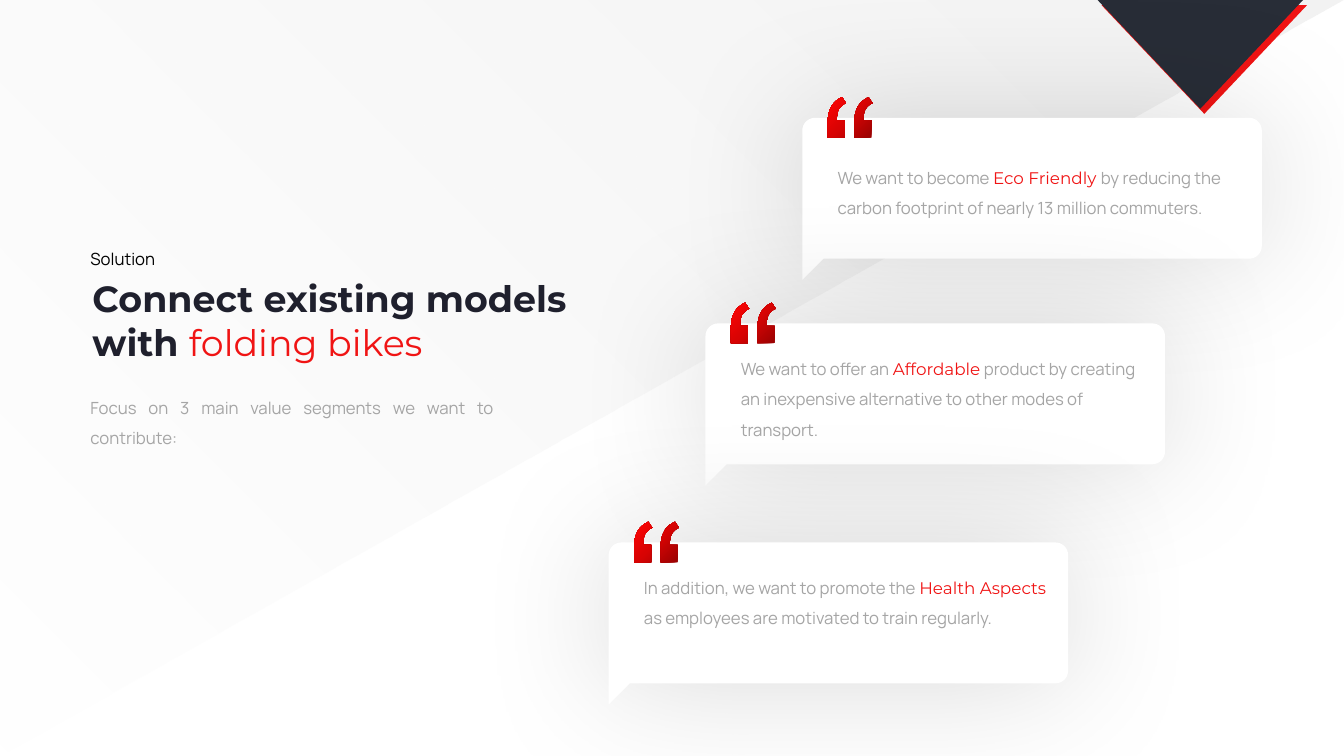
from typing import NamedTuple

from lxml.etree import SubElement
from pptx import Presentation
from pptx.dml.color import RGBColor
from pptx.enum.shapes import MSO_SHAPE
from pptx.enum.text import MSO_ANCHOR, MSO_AUTO_SIZE, PP_ALIGN
from pptx.oxml.ns import qn
from pptx.util import Cm, Pt

COLORS = {
    "white": "FFFFFF", "haze": "F2F2F2", "black": "000000", "ink": "1F202D",
    "slate": "282D37", "red": "F01414", "grey": "A5A5A5",
    "deep": "980202", "mid": "D80303", "bright": "FF0505",
}
SLIDE_WIDTH, SLIDE_HEIGHT = 33.87, 19.05
BUBBLE_WIDTH, BUBBLE_HEIGHT, RADIUS, TAIL = 11.58, 3.55, 0.32, 0.53
INSET, MARK_GAP = 0.64, 0.67

Point = tuple[float, float]


class Stop(NamedTuple):
    position: int
    color: str
    alpha: int = 100


class Span(NamedTuple):
    text: str
    color: str = "grey"
    font: str = "Manrope"
    size: float = 12
    bold: bool = False


class Box(NamedTuple):
    left: float
    top: float
    width: float
    height: float


class Quote(NamedTuple):
    left: float
    top: float
    before: str
    accent: str
    after: str
    anchor: MSO_ANCHOR = MSO_ANCHOR.TOP


QUOTES = [
    Quote(20.22, 2.97, "We want to become ", "Eco Friendly ",
          "by reducing the carbon footprint of nearly 13 million commuters.", MSO_ANCHOR.MIDDLE),
    Quote(17.78, 8.15, "We want to offer an ", "Affordable",
          " product by creating an inexpensive alternative to other modes of transport."),
    Quote(15.34, 13.67, "In addition, we want to promote the ", "Health Aspects ",
          "as employees are motivated to train regularly."),
]


def rgb(name: str) -> RGBColor:
    return RGBColor.from_string(COLORS[name])


def curve(start: Point, first: Point, second: Point, end: Point, steps: int = 8) -> list[Point]:
    """Points along a cubic curve, without its start."""
    points = []
    for step in range(1, steps + 1):
        t = step / steps
        weights = ((1 - t) ** 3, 3 * t * (1 - t) ** 2, 3 * t * t * (1 - t), t ** 3)
        points.append(tuple(
            sum(w * p[axis] for w, p in zip(weights, (start, first, second, end)))
            for axis in (0, 1)))
    return points


def corner(start: Point, tip: Point, end: Point) -> list[Point]:
    """A rounded corner that bends towards its tip."""
    pulls = [tuple(p[axis] + 0.55 * (tip[axis] - p[axis]) for axis in (0, 1))
             for p in (start, end)]
    return [start] + curve(start, pulls[0], pulls[1], end)


def bubble_outline() -> list[Point]:
    w, h, r = BUBBLE_WIDTH, BUBBLE_HEIGHT, RADIUS
    return (corner((0, r), (0, 0), (r, 0))
            + corner((w - r, 0), (w, 0), (w, r))
            + corner((w, h - r), (w, h), (w - r, h))
            + [(TAIL, h), (0, h + TAIL)])


def mark_outline() -> list[Point]:
    return ([(0.36, 0), (0.46, 0.15)]
            + curve((0.46, 0.15), (0.38, 0.18), (0.33, 0.24), (0.28, 0.3))
            + curve((0.28, 0.3), (0.25, 0.37), (0.23, 0.45), (0.23, 0.58))
            + [(0.43, 0.58), (0.43, 1.02), (0, 1.02), (0, 0.68)]
            + curve((0, 0.68), (0, 0.5), (0.02, 0.37), (0.08, 0.26))
            + curve((0.08, 0.26), (0.13, 0.15), (0.23, 0.06), (0.36, 0)))


def strip(shape) -> None:
    shape.shadow.inherit = False
    shape.line.fill.background()


def add_color(parent, name: str, alpha: int) -> None:
    color = SubElement(parent, qn("a:srgbClr"), val=COLORS[name])
    SubElement(color, qn("a:alpha"), val=str(alpha * 1000))


def fill_gradient(shape, stops: list[Stop], angle: float) -> None:
    shape.fill.gradient()
    shape.fill.gradient_angle = angle
    stop_list = shape.element.spPr.find(".//" + qn("a:gsLst"))
    for old in list(stop_list):
        stop_list.remove(old)
    for stop in stops:
        item = SubElement(stop_list, qn("a:gs"), pos=str(stop.position * 1000))
        add_color(item, stop.color, stop.alpha)


def add_glow_shadow(shape) -> None:
    effects = shape.element.spPr.find(qn("a:effectLst"))
    shadow = SubElement(effects, qn("a:outerShdw"), blurRad=str(Pt(100)), dist="0", dir="0",
                        algn="ctr", rotWithShape="0")
    add_color(shadow, "black", 15)


def add_outline(page, contours: list[list[Point]], left: float, top: float, color: str = "white"):
    placed = [[(Cm(left + x), Cm(top + y)) for x, y in contour] for contour in contours]
    builder = page.shapes.build_freeform(*placed[0][0])
    for index, contour in enumerate(placed):
        if index:
            builder.move_to(*contour[0])
        builder.add_line_segments(contour[1:], close=True)
    shape = builder.convert_to_shape()
    strip(shape)
    shape.fill.solid()
    shape.fill.fore_color.rgb = rgb(color)
    return shape


def write(shape, spans: list[Span], spacing: float = 1.5, align: PP_ALIGN = PP_ALIGN.LEFT,
          anchor: MSO_ANCHOR = MSO_ANCHOR.TOP) -> None:
    frame = shape.text_frame
    frame_format = {
        "word_wrap": True, "auto_size": MSO_AUTO_SIZE.NONE, "vertical_anchor": anchor,
        "margin_left": Cm(0.25), "margin_right": Cm(0.25),
        "margin_top": Cm(0.13), "margin_bottom": Cm(0.13),
    }
    for name, value in frame_format.items():
        setattr(frame, name, value)
    para = frame.paragraphs[0]
    para.alignment, para.line_spacing = align, spacing
    for span in spans:
        run = para.add_run()
        run.text = span.text
        for name, value in {"name": span.font, "size": Pt(span.size), "bold": span.bold}.items():
            setattr(run.font, name, value)
        run.font.color.rgb = rgb(span.color)


def add_text(page, box: Box, spans: list[Span], **layout) -> None:
    write(page.shapes.add_textbox(*map(Cm, box)), spans, **layout)


def add_backdrop(page) -> None:
    haze = page.shapes.add_shape(MSO_SHAPE.RIGHT_TRIANGLE, 0, 0, Cm(SLIDE_WIDTH), Cm(SLIDE_HEIGHT))
    strip(haze)
    haze.rotation = 180
    haze.element.spPr.xfrm.set("flipH", "1")
    fill_gradient(haze, [Stop(0, "haze", 0), Stop(100, "haze", 90)], 315)
    wedge = [(0, 0), (5.18, 0), (2.59, 2.74)]
    add_outline(page, [wedge], 27.76, 0.13, "red")
    add_outline(page, [wedge], 27.66, 0, "slate")


def add_title(page) -> None:
    title = page.shapes.title
    title.element.getparent().append(title.element)  # in front of the backdrop
    for name, value in Box(2.08, 6.83, 13.92, 2.64)._asdict().items():
        setattr(title, name, Cm(value))
    write(title, [Span("Connect existing models with ", "ink", "Montserrat", 26, True),
                  Span("folding bikes", "red", "Montserrat", 26)], spacing=1.0)


def add_quote(page, quote: Quote) -> None:
    bubble = add_outline(page, [bubble_outline()], quote.left, quote.top)
    add_glow_shadow(bubble)
    mark = mark_outline()
    second_mark = [(x + MARK_GAP, y) for x, y in mark]
    marks = add_outline(page, [mark, second_mark], quote.left + INSET, quote.top - 0.52)
    fill_gradient(marks, [Stop(0, "deep"), Stop(50, "mid"), Stop(100, "bright")], 135)
    add_text(page, Box(quote.left + INSET, quote.top + 0.51, 10.64, 2.49),
             [Span(quote.before), Span(quote.accent, "red", "Montserrat"), Span(quote.after)],
             anchor=quote.anchor)


def main() -> None:
    deck = Presentation()
    deck.slide_width, deck.slide_height = Cm(SLIDE_WIDTH), Cm(SLIDE_HEIGHT)
    page = deck.slides.add_slide(deck.slide_layouts[5])
    add_backdrop(page)
    # Message on the left
    add_title(page)
    add_text(page, Box(2.03, 5.89, 9.19, 0.97), [Span("Solution", "black")])
    add_text(page, Box(2.03, 9.63, 10.67, 2.49),
             [Span("Focus on 3 main value segments we want to contribute:")],
             align=PP_ALIGN.JUSTIFY)
    # Staggered speech bubbles
    for quote in QUOTES:
        add_quote(page, quote)
    deck.save("out.pptx")


if __name__ == "__main__":
    main()
